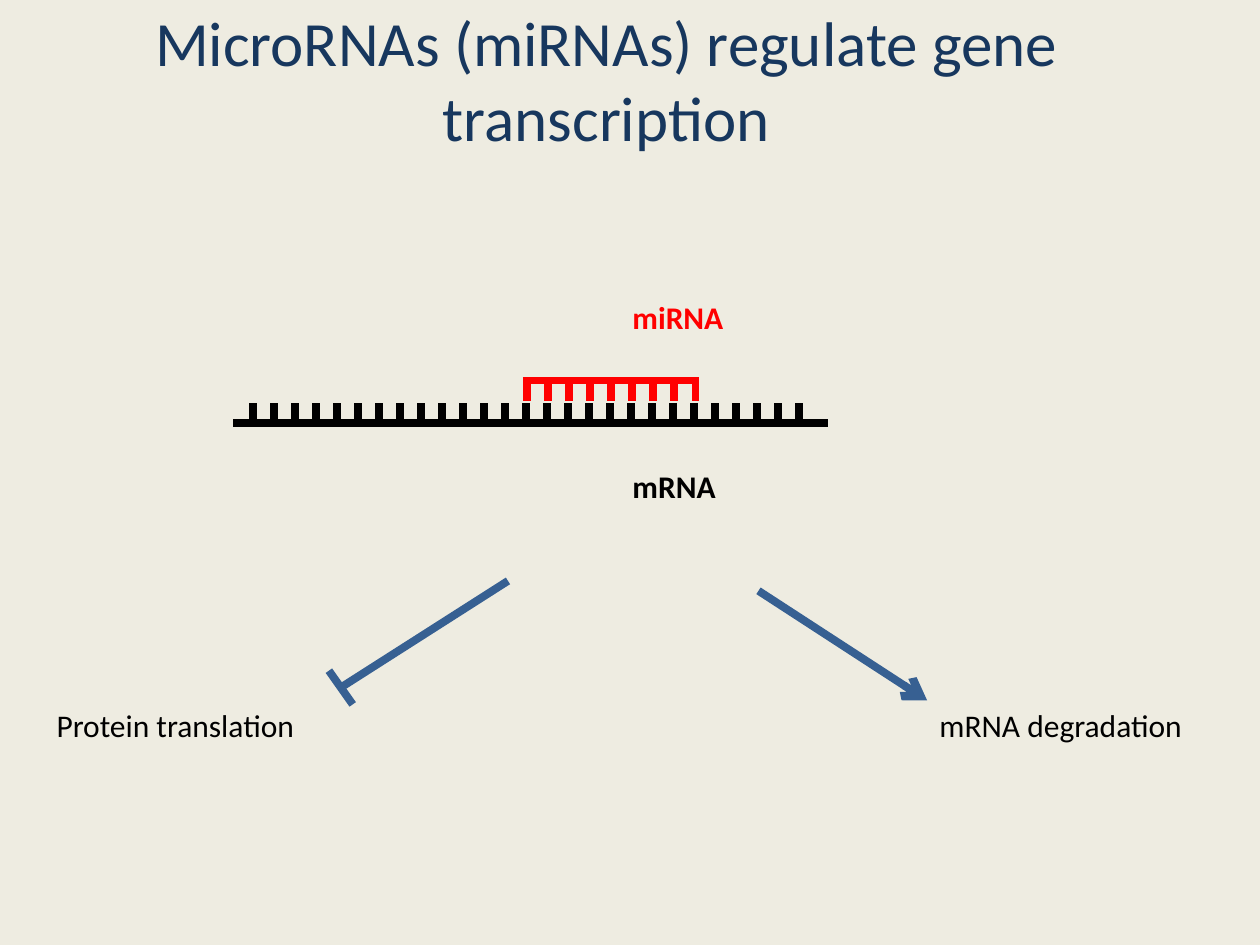
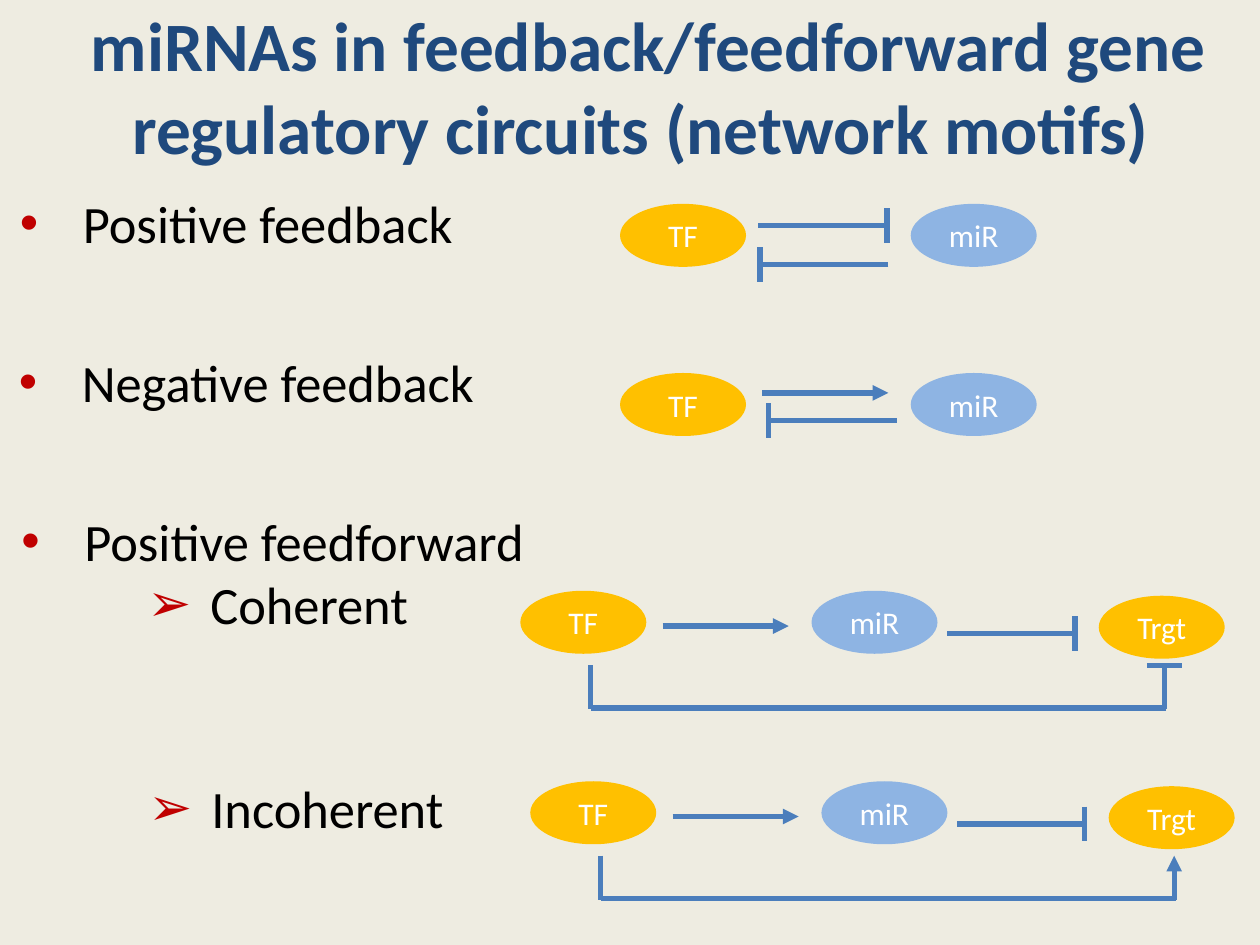
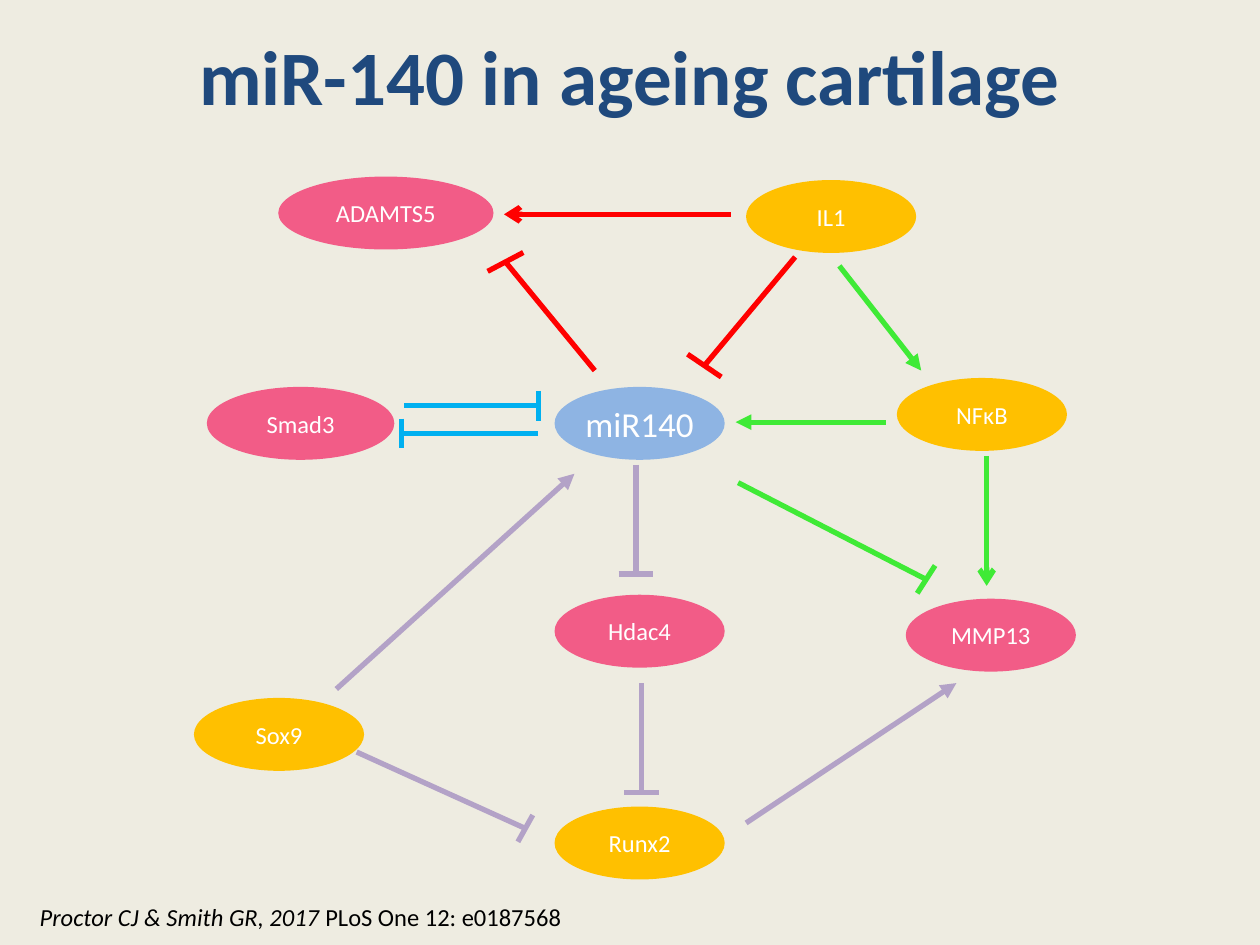
from dataclasses import dataclass

from lxml.etree import SubElement
from pptx import Presentation
from pptx.dml.color import RGBColor
from pptx.enum.shapes import MSO_CONNECTOR, MSO_SHAPE
from pptx.enum.text import MSO_ANCHOR, PP_ALIGN
from pptx.oxml.ns import qn
from pptx.util import Cm, Pt


@dataclass(frozen=True)
class Theme:
    font: str = "Calibri"
    back: str = "EEECE1"
    black: str = "000000"
    white: str = "FFFFFF"
    deep: str = "17375E"
    navy: str = "1F497D"
    steel: str = "376092"
    blue: str = "4B7EBC"
    sky: str = "8EB4E3"
    cyan: str = "00B0F0"
    gold: str = "FFC000"
    pink: str = "F25C87"
    red: str = "FF0000"
    green: str = "3FEA36"
    mauve: str = "B3A2C7"
    mark: str = "C00000"
    large: float = 44
    head: float = 39.6
    plain: float = 36
    body: float = 30
    gene: float = 20
    label: float = 18
    small: float = 14
    thick: float = 4.5
    thin: float = 3


THEME = Theme()


@dataclass(frozen=True)
class Node:
    text: str
    left: float
    top: float
    fill: str
    width: float = 2.54
    height: float = 1.27
    size: float = THEME.label


@dataclass(frozen=True)
class Edge:
    """A line that may end in an arrowhead, or in a bar given by its half extent."""
    x1: float
    y1: float
    x2: float
    y2: float
    tint: str = THEME.blue
    head: str = ""
    bar: tuple[float, float] | None = None
    width: float = THEME.thin


@dataclass(frozen=True)
class Strand:
    left: float
    right: float
    first: float
    last: float
    count: int
    spine: float
    tip: float
    root: float
    tint: str


@dataclass(frozen=True)
class Point:
    """A line of text with a bullet."""
    text: str
    sign: str = "•"
    level: int = 0
    indent: float = 1.27


def write(para, text: str, *, size: float, tint: str = THEME.black,
          bold: bool = False, slant: bool = False, align=None) -> None:
    if align is not None:
        para.alignment = align
    run = para.add_run()
    run.text = text
    font = run.font
    font.name, font.size = THEME.font, Pt(size)
    font.bold, font.italic = bold, slant
    font.color.rgb = RGBColor.from_string(tint)


def add_box(slide, left: float, top: float, width: float, height: float,
            anchor=MSO_ANCHOR.TOP):
    frame = slide.shapes.add_textbox(
        Cm(left), Cm(top), Cm(width), Cm(height)).text_frame
    frame.word_wrap = True
    frame.vertical_anchor = anchor
    return frame


def add_label(slide, text: str, left: float, top: float, width: float, **style) -> None:
    frame = add_box(slide, left, top, width, 1.02)
    write(frame.paragraphs[0], text, size=THEME.label, **style)


def add_title(slide, text: str, left: float, top: float, width: float,
              height: float, **style) -> None:
    frame = add_box(slide, left, top, width, height, MSO_ANCHOR.MIDDLE)
    write(frame.paragraphs[0], text, align=PP_ALIGN.CENTER, **style)


def add_points(slide, left: float, top: float, width: float, *points: Point) -> None:
    frame = add_box(slide, left, top, width, 1.52 * len(points))
    for index, point in enumerate(points):
        para = frame.add_paragraph() if index else frame.paragraphs[0]
        para.level = point.level
        props = para._p.get_or_add_pPr()
        props.set("marL", str(Cm(point.indent)))
        props.set("indent", str(-Cm(1.27)))
        tint = SubElement(props, qn("a:buClr"))
        SubElement(tint, qn("a:srgbClr"), val=THEME.mark)
        SubElement(props, qn("a:buFont"), typeface="Arial")
        SubElement(props, qn("a:buChar"), char=point.sign)
        write(para, point.text, size=THEME.body)


def add_node(slide, node: Node) -> None:
    shape = slide.shapes.add_shape(
        MSO_SHAPE.OVAL, Cm(node.left), Cm(node.top), Cm(node.width), Cm(node.height))
    shape.shadow.inherit = False
    shape.fill.solid()
    shape.fill.fore_color.rgb = RGBColor.from_string(node.fill)
    shape.line.fill.background()
    frame = shape.text_frame
    frame.margin_left = frame.margin_right = 0
    frame.vertical_anchor = MSO_ANCHOR.MIDDLE
    write(frame.paragraphs[0], node.text, size=node.size, tint=THEME.white,
          align=PP_ALIGN.CENTER)


def add_line(slide, x1: float, y1: float, x2: float, y2: float, tint: str,
             width: float, head: str = "") -> None:
    line = slide.shapes.add_connector(
        MSO_CONNECTOR.STRAIGHT, Cm(x1), Cm(y1), Cm(x2), Cm(y2))
    line.line.width = Pt(width)
    line.line.color.rgb = RGBColor.from_string(tint)
    props = line.element.spPr
    if head:
        SubElement(props.find(qn("a:ln")), qn("a:tailEnd"), type=head)
    SubElement(props, qn("a:effectLst"))


def add_edge(slide, edge: Edge) -> None:
    add_line(slide, edge.x1, edge.y1, edge.x2, edge.y2, edge.tint, edge.width, edge.head)
    if edge.bar:
        dx, dy = edge.bar
        add_line(slide, edge.x2 - dx, edge.y2 - dy, edge.x2 + dx, edge.y2 + dy,
                 edge.tint, edge.width)


def add_strand(slide, strand: Strand) -> None:
    add_line(slide, strand.left, strand.spine, strand.right, strand.spine,
             strand.tint, THEME.thick)
    pitch = (strand.last - strand.first) / (strand.count - 1)
    for index in range(strand.count):
        x = strand.first + index * pitch
        add_line(slide, x, strand.tip, x, strand.root, strand.tint, THEME.thick)


def add_graph(slide, nodes: list[Node], edges: list[Edge]) -> None:
    for node in nodes:
        add_node(slide, node)
    for edge in edges:
        add_edge(slide, edge)


def add_forward(slide, left: float, top: float, **finish) -> None:
    """Draw a feedforward motif; finish tells how its lower path ends."""
    start, end, low = left + 1.42, left + 12.98, top + 2.36
    add_graph(slide, [
        Node("TF", left, top, THEME.gold),
        Node("miR", left + 5.87, top, THEME.sky),
        Node("Trgt", left + 11.66, top + 0.1, THEME.gold),
    ], [
        Edge(left + 2.87, top + 0.71, left + 5.41, top + 0.71, head="triangle"),
        Edge(left + 8.61, top + 0.86, left + 11.18, top + 0.86, bar=UPRIGHT),
        Edge(start, top + 1.5, start, low + 0.03),
        Edge(start, low, end + 0.03, low),
        Edge(end, low + 0.03, end, top + 1.5, **finish),
    ])


UPRIGHT, LEVEL = (0, 0.35), (0.35, 0)
SHORT = (0, 0.3)


def draw_target(slide) -> None:
    add_title(slide, "MicroRNAs (miRNAs) regulate gene transcription",
              0.3, 0, 23.85, 3.18, size=THEME.plain, tint=THEME.deep)
    add_strand(slide, Strand(4.7, 16.69, 5.1, 16.1, 27, 8.53, 8.13, 8.53, THEME.black))
    add_strand(slide, Strand(10.54, 14.1, 10.62, 14.02, 9, 7.67, 7.67, 8.08, THEME.red))
    add_label(slide, "miRNA", 12.5, 5.89, 2.45, tint=THEME.red, bold=True)
    add_label(slide, "mRNA", 12.5, 9.3, 2.3, bold=True)
    add_label(slide, "Protein translation", 0.89, 14.1, 5.51)
    add_label(slide, "mRNA degradation", 18.69, 14.1, 5.46)
    add_edge(slide, Edge(10.24, 11.71, 6.87, 13.86, THEME.steel,
                         bar=(0.24, 0.34), width=THEME.thick))
    add_edge(slide, Edge(15.29, 11.91, 18.69, 14.12, THEME.steel, "arrow",
                         width=THEME.thick))


def draw_motifs(slide) -> None:
    add_title(slide, "miRNAs in feedback/feedforward gene regulatory circuits "
              "(network motifs) ", 1.27, 0.13, 23.62, 3.18,
              size=THEME.head, tint=THEME.navy, bold=True)
    add_points(slide, 0.15, 3.73, 10.16, Point("Positive feedback"))
    add_points(slide, 0.13, 6.93, 10.62, Point("Negative feedback"))
    add_points(slide, 0.18, 10.13, 13.92, Point("Positive feedforward"),
               Point("Coherent", "➢", 2, 3.81))
    add_points(slide, 2.74, 15.52, 7.14, Point("Incoherent", "➢", 1))
    pairs = {
        4.11: [Edge(15.29, 4.55, 17.88, 4.55, bar=UPRIGHT),
               Edge(17.91, 5.33, 15.32, 5.33, bar=UPRIGHT)],
        7.52: [Edge(15.37, 7.92, 17.91, 7.92, head="triangle"),
               Edge(18.08, 8.48, 15.49, 8.48, bar=UPRIGHT)],
    }
    for top, edges in pairs.items():
        add_graph(slide, [Node("TF", 12.5, top, THEME.gold),
                          Node("miR", 18.36, top, THEME.sky)], edges)
    add_forward(slide, 10.49, 11.91, bar=LEVEL)
    add_forward(slide, 10.69, 15.75, head="triangle")


def gene(text: str, left: float, top: float, fill: str, width: float = 3.43,
         size: float = THEME.small) -> Node:
    return Node(text, left, top, fill, width, 1.47, size)


def draw_ageing(slide) -> None:
    add_title(slide, "miR-140 in ageing cartilage", 1.27, 0, 22.86, 3.02,
              size=THEME.large, tint=THEME.navy, bold=True)
    red, cyan, green, mauve = THEME.red, THEME.cyan, THEME.green, THEME.mauve
    add_graph(slide, [
        gene("ADAMTS5", 5.61, 3.56, THEME.pink, 4.34),
        gene("IL1", 15.04, 3.63, THEME.gold),
        gene("Smad3", 4.17, 7.8, THEME.pink, 3.78),
        gene("miR140", 11.18, 7.8, THEME.sky, size=THEME.gene),
        gene("NFκB", 18.08, 7.62, THEME.gold),
        gene("Hdac4", 11.18, 11.99, THEME.pink),
        gene("MMP13", 18.26, 12.07, THEME.pink),
        gene("Sox9", 3.91, 14.07, THEME.gold),
        gene("Runx2", 11.18, 16.26, THEME.gold),
    ], [
        Edge(14.73, 4.32, 10.16, 4.32, red, "arrow"),
        Edge(11.99, 7.47, 10.19, 5.28, red, bar=(0.36, -0.19)),
        Edge(16.03, 5.18, 14.2, 7.37, red, bar=(0.34, 0.23)),
        Edge(8.15, 8.18, 10.85, 8.18, cyan, bar=SHORT),
        Edge(10.85, 8.74, 8.1, 8.74, cyan, bar=SHORT),
        Edge(16.92, 5.36, 18.57, 7.47, green, "triangle"),
        Edge(17.86, 8.51, 14.83, 8.51, green, "triangle"),
        Edge(19.89, 9.19, 19.89, 11.81, green, "arrow"),
        Edge(14.88, 9.73, 18.67, 11.68, green, bar=(0.18, -0.28)),
        Edge(12.82, 9.37, 12.82, 11.57, mauve, bar=LEVEL),
        Edge(12.93, 13.77, 12.93, 15.98, mauve, bar=LEVEL),
        Edge(6.78, 13.89, 11.58, 9.55, mauve, "triangle"),
        Edge(7.19, 15.16, 10.59, 16.7, mauve, bar=(0.15, -0.27)),
        Edge(15.04, 16.59, 19.28, 13.77, mauve, "triangle"),
    ])
    para = add_box(slide, 0.55, 18.06, 11.46, 0.86, MSO_ANCHOR.MIDDLE).paragraphs[0]
    write(para, "Proctor CJ & Smith GR, 2017 ", size=THEME.small, slant=True)
    write(para, "PLoS One 12: e0187568", size=THEME.small)


def main() -> None:
    deck = Presentation()
    deck.slide_width, deck.slide_height = Cm(25.4), Cm(19.05)
    for draw in (draw_target, draw_motifs, draw_ageing):
        slide = deck.slides.add_slide(deck.slide_layouts[6])
        fill = slide.background.fill
        fill.solid()
        fill.fore_color.rgb = RGBColor.from_string(THEME.back)
        draw(slide)
    deck.save("out.pptx")


if __name__ == "__main__":
    main()
